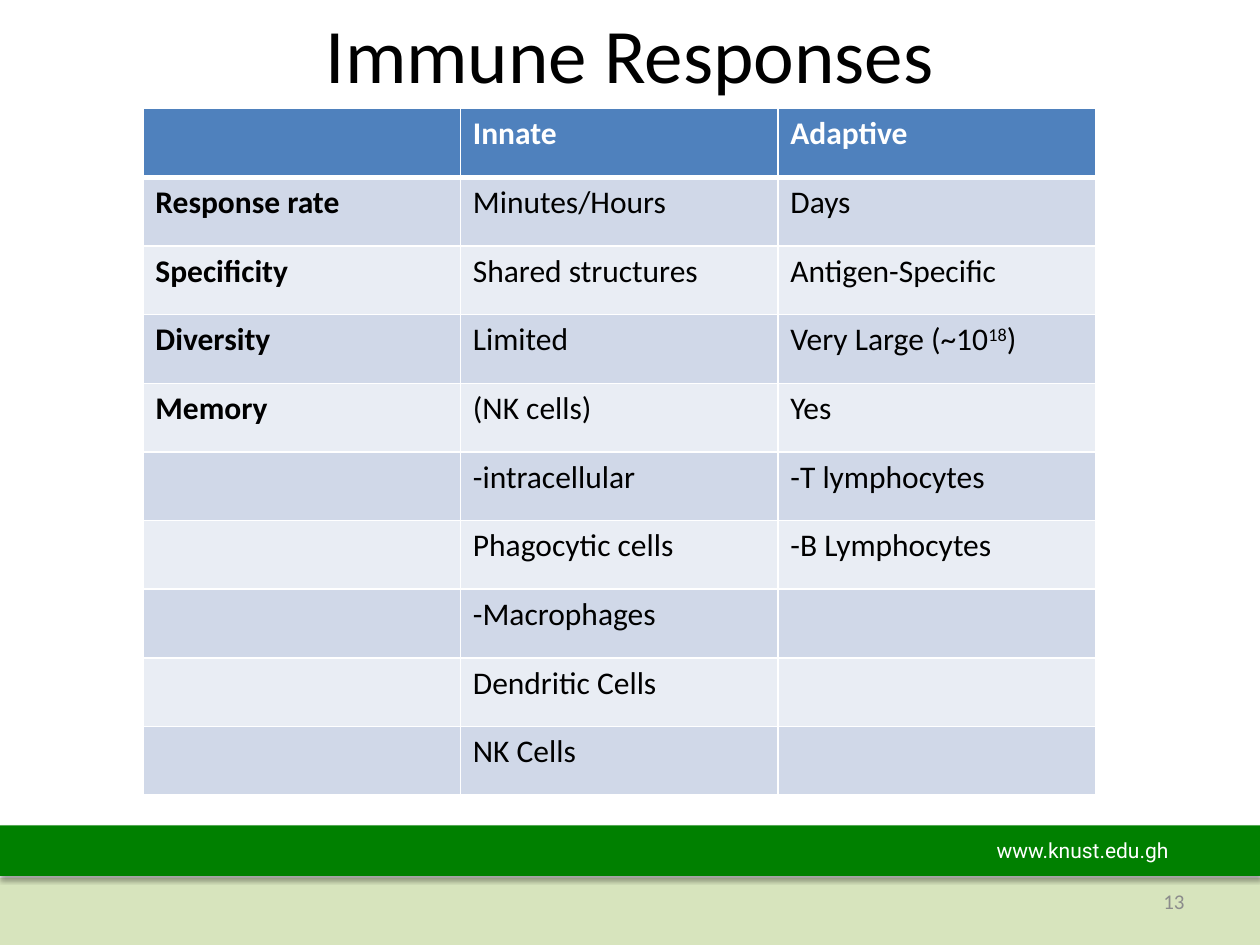
from lxml.etree import SubElement
from pptx import Presentation
from pptx.dml.color import RGBColor
from pptx.enum.shapes import MSO_SHAPE as Shape
from pptx.enum.text import MSO_ANCHOR as Anchor, PP_ALIGN as Align
from pptx.oxml.ns import qn
from pptx.util import Cm, Pt

WHITE, BLACK, GREY = "FFFFFF", "000000", "8C8C8C"
GREEN, PALE_GREEN = "008000", "D7E4BD"
HEADER, BANDS = "4F81BD", ("D0D8E8", "E9EDF4")


def paint(target, colour):
    """Give a fill a solid colour from a hex string."""
    target.solid()
    target.fore_color.rgb = RGBColor.from_string(colour)


def write(paragraph, text, size=18, font="Calibri", colour=BLACK, bold=False,
          align=Align.LEFT, raised=False):
    """Add one formatted run to a paragraph."""
    paragraph.alignment = align
    run = paragraph.add_run()
    run.text = text
    run.font.size = Pt(size)
    run.font.name = font
    run.font.bold = bold
    paint(run.font.fill, colour)
    if raised:
        run.font._element.set("baseline", "30000")


def add_colour(parent, colour):
    fill = SubElement(parent, qn("a:solidFill"))
    return SubElement(fill, qn("a:srgbClr"), val=colour)


class SlideBuilder:
    def __init__(self, deck):
        self.slide = deck.slides.add_slide(deck.slide_layouts[6])

    def band(self, top, height, colour):
        """Full-width bar with a soft shadow below."""
        bar = self.slide.shapes.add_shape(
            Shape.RECTANGLE, 0, Cm(top), Cm(25.4), Cm(height))
        paint(bar.fill, colour)
        bar.line.fill.background()
        bar.shadow.inherit = False
        effects = bar._element.spPr.find(qn("a:effectLst"))
        shadow = SubElement(effects, qn("a:outerShdw"), blurRad=str(Pt(3.1)),
                            dist=str(Pt(1.8)), dir="5400000", rotWithShape="0")
        black = SubElement(shadow, qn("a:srgbClr"), val=BLACK)
        SubElement(black, qn("a:alpha"), val="35000")

    def text(self, left, top, width, height, text, anchor=Anchor.TOP, **style):
        box = self.slide.shapes.add_textbox(
            Cm(left), Cm(top), Cm(width), Cm(height))
        box.text_frame.word_wrap = True
        box.text_frame.vertical_anchor = anchor
        write(box.text_frame.paragraphs[0], text, **style)

    def table(self, left, top, width, height, rows):
        grid = self.slide.shapes.add_table(
            len(rows), len(rows[0]), Cm(left), Cm(top), Cm(width), Cm(height)).table
        for r, row in enumerate(rows):
            for c, content in enumerate(row):
                self.cell(grid.cell(r, c), content, r, bold=r == 0 or c == 0)

    def cell(self, cell, content, row, bold):
        is_header = row == 0
        borders = cell._tc.get_or_add_tcPr()
        for side in ("lnL", "lnR", "lnT", "lnB"):
            thick = (is_header and side == "lnB") or (row == 1 and side == "lnT")
            line = SubElement(borders, qn(f"a:{side}"), w=str(Pt(3 if thick else 1)))
            add_colour(line, WHITE)
        paint(cell.fill, HEADER if is_header else BANDS[(row - 1) % 2])
        # Text between carets is raised
        for i, part in enumerate(content.split("^")):
            if part:
                write(cell.text_frame.paragraphs[0], part, bold=bold,
                      colour=WHITE if is_header else BLACK, raised=i % 2 == 1)


RESPONSES = [
    ("", "Innate", "Adaptive"),
    ("Response rate", "Minutes/Hours", "Days"),
    ("Specificity", "Shared structures", "Antigen-Specific"),
    ("Diversity", "Limited", "Very Large (~10^18^)"),
    ("Memory", "(NK cells)", "Yes"),
    ("", "-intracellular", "-T lymphocytes"),
    ("", "Phagocytic cells", "-B Lymphocytes"),
    ("", "-Macrophages", ""),
    ("", "Dendritic Cells", ""),
    ("", "NK Cells", ""),
]


def main():
    deck = Presentation()
    deck.slide_width, deck.slide_height = Cm(25.4), Cm(19.05)
    page = SlideBuilder(deck)

    # Footer bands and web address
    page.band(17.7, 1.35, PALE_GREEN)
    page.band(16.64, 1.02, GREEN)
    page.text(19.84, 16.76, 4.29, 0.76, "www.knust.edu.gh",
              size=12, font="Roboto", colour=WHITE)

    # Title
    page.text(1.27, 0, 22.86, 3.18, "Immune Responses", size=44, align=Align.CENTER)

    # Comparison of the two responses
    page.table(2.88, 2.19, 19.2, 13.84, RESPONSES)

    # Slide number
    page.text(18.2, 17.66, 5.93, 1.01, "13", anchor=Anchor.MIDDLE,
              size=12, colour=GREY, align=Align.RIGHT)

    deck.save("out.pptx")


if __name__ == "__main__":
    main()
